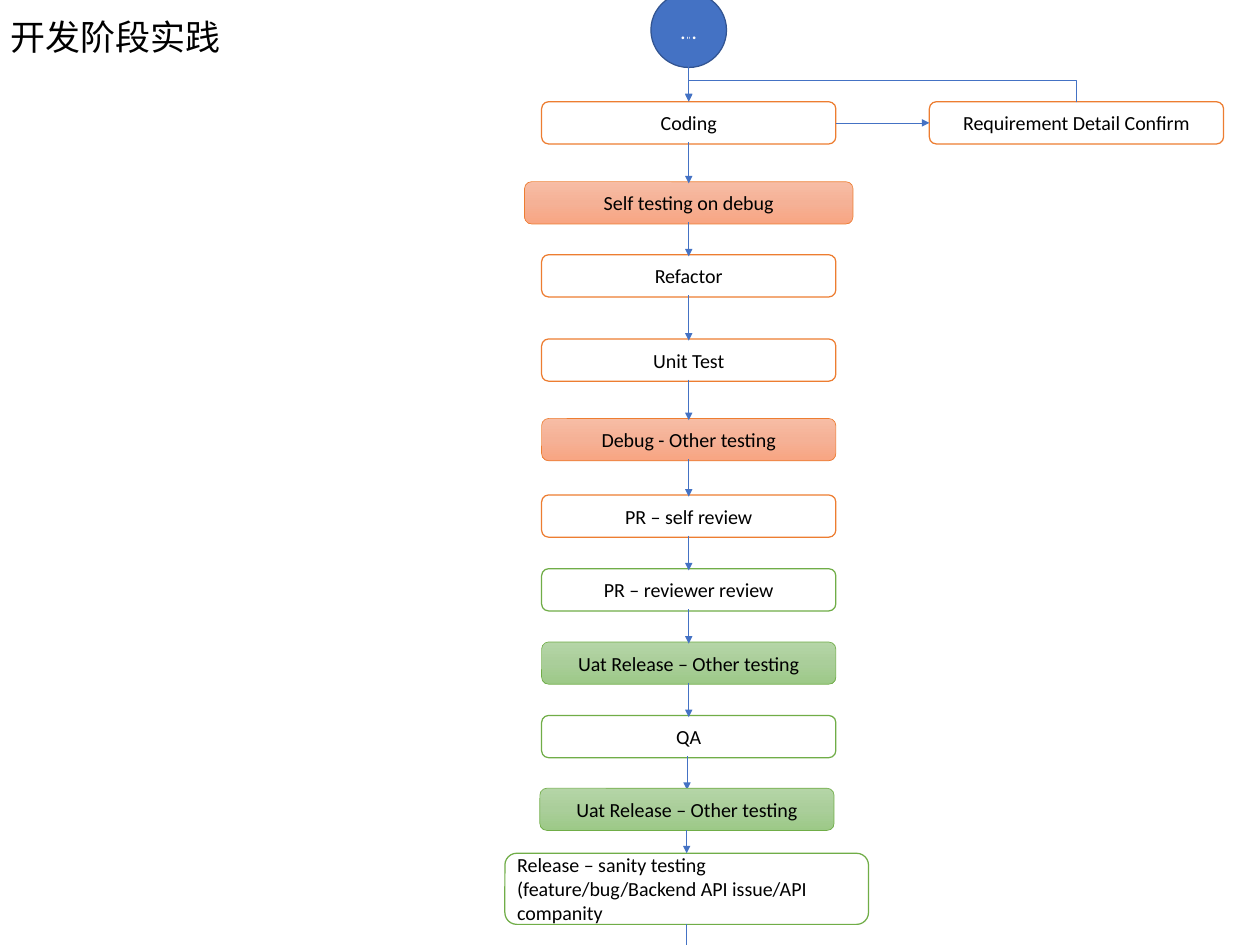
"""Development-stage practice flowchart."""
from copy import deepcopy
from lxml.etree import SubElement
from pptx import Presentation
from pptx.dml.color import RGBColor
from pptx.enum.shapes import MSO_CONNECTOR, MSO_SHAPE
from pptx.enum.text import MSO_ANCHOR, PP_ALIGN
from pptx.oxml.ns import qn
from pptx.util import Pt

BLACK = RGBColor(0, 0, 0)
WHITE = RGBColor(255, 255, 255)
BLUE = RGBColor(0x44, 0x72, 0xC4)
NAVY = RGBColor(0x32, 0x54, 0x91)
ORANGE = RGBColor(0xED, 0x7D, 0x31)
GREEN = RGBColor(0x70, 0xAD, 0x47)
PEACH = [RGBColor.from_string(c) for c in ("F7BDA5", "F5B196", "F8A582")]
SAGE = [RGBColor.from_string(c) for c in ("B5D5A7", "AACE9A", "9CC987")]

TITLE = "开发阶段实践"
AXIS, BOX_W, BOX_H = 551, 235.4, 33.8
SIDE_X, CODING_Y, OVERLAP = 861.2, 81.4, 1.3
STEPS = [
    ("Coding", CODING_Y, ORANGE, None),
    ("Self testing on debug", 145.4, ORANGE, PEACH),
    ("Refactor", 203.8, ORANGE, None),
    ("Unit Test", 271.2, ORANGE, None),
    ("Debug - Other testing", 334.8, ORANGE, PEACH),
    ("PR – self review", 396, ORANGE, None),
    ("PR – reviewer review", 455, GREEN, None),
    ("Uat Release – Other testing", 513.6, GREEN, SAGE),
    ("QA", 572.4, GREEN, None),
    ("Uat Release – Other testing", 630.6, GREEN, SAGE),
    ("Release – sanity testing (feature/bug/Backend API issue/API companity",
     682.6, GREEN, None),
]
SIZES = {1: (AXIS, 262.8, BOX_H), 9: (549.6, BOX_W, BOX_H), 10: (549.4, 290.9, 56.9)}

prs = Presentation()
prs.slide_width, prs.slide_height = Pt(1008), Pt(756)
s = prs.slides.add_slide(prs.slide_layouts[6])


def write(sp, text, size, color, align):
    tf = sp.text_frame
    tf.word_wrap = True
    tf.vertical_anchor = MSO_ANCHOR.MIDDLE
    p = tf.paragraphs[0]
    p.text, p.alignment = text, align
    font = p.runs[0].font
    font.size, font.name, font.color.rgb = Pt(size), "Calibri", color
    return p


def fill_gradient(sp, colors):
    sp.fill.gradient()
    sp.fill.gradient_angle = 270
    stops = sp._element.spPr.find(qn("a:gradFill")).find(qn("a:gsLst"))
    stops.insert(1, deepcopy(stops[0]))
    for stop, color, place in zip(sp.fill.gradient_stops, colors, (0, 0.5, 1)):
        stop.color.rgb, stop.position = color, place


def add_node(kind, box, text, line, fill=WHITE, size=16, color=BLACK, align=PP_ALIGN.CENTER):
    cx, top, w, h = box
    sp = s.shapes.add_shape(kind, Pt(cx - w / 2), Pt(top), Pt(w), Pt(h))
    sp.shadow.inherit = False
    shaded = isinstance(fill, list)
    if shaded:
        fill_gradient(sp, fill)
    else:
        sp.fill.solid()
        sp.fill.fore_color.rgb = fill
    sp.line.color.rgb, sp.line.width = line, Pt(0.5 if shaded else 1)
    write(sp, text, size, color, align)


def add_arrow(x1, y1, x2, y2, kind=MSO_CONNECTOR.STRAIGHT):
    cxn = s.shapes.add_connector(kind, Pt(x1), Pt(y1), Pt(x2), Pt(y2))
    cxn.line.color.rgb, cxn.line.width = BLUE, Pt(0.5)
    SubElement(cxn.line._get_or_add_ln(), qn("a:tailEnd"), type="triangle")
    SubElement(cxn._element.spPr, qn("a:effectLst"))
    return cxn


def add_step(i):
    text, top, line, fill = STEPS[i]
    cx, w, h = SIZES.get(i, (AXIS, BOX_W, BOX_H))
    align = PP_ALIGN.LEFT if i == len(STEPS) - 1 else PP_ALIGN.CENTER
    add_node(MSO_SHAPE.ROUNDED_RECTANGLE, (cx, top, w, h), text, line, fill or WHITE, align=align)


title = s.shapes.add_textbox(Pt(1.4), Pt(4.3), Pt(443.5), Pt(53.3))
write(title, TITLE, 28, BLACK, PP_ALIGN.LEFT).line_spacing = 0.9

LAST = len(STEPS) - 1
FRONT = LAST - 1
for i in range(len(STEPS)):
    if i != FRONT:
        add_step(i)
add_node(MSO_SHAPE.ROUNDED_RECTANGLE, (SIDE_X, CODING_Y, BOX_W, BOX_H),
         "Requirement Detail Confirm", ORANGE)

for i in range(FRONT):
    x = SIZES.get(i + 1, (AXIS,))[0]
    add_arrow(x, STEPS[i][1] + BOX_H - OVERLAP, x, STEPS[i + 1][1] + OVERLAP)
add_step(FRONT)

x, _, last_h = SIZES[LAST]
add_arrow(x, STEPS[FRONT][1] + BOX_H, x, STEPS[LAST][1])
add_arrow(x, STEPS[LAST][1] + last_h, x, 767.5)

add_node(MSO_SHAPE.OVAL, (AXIS, -5.8, 60.5, 59.8), "…", NAVY, BLUE, 18, WHITE)
add_arrow(AXIS, 16.6, AXIS, CODING_Y)
mid_y = CODING_Y + BOX_H / 2
add_arrow(AXIS + BOX_W / 2, mid_y, SIDE_X - BOX_W / 2, mid_y)

mid_x, half = (AXIS + SIDE_X) / 2, (SIDE_X - AXIS) / 2
loop = add_arrow(mid_x - 0.5, CODING_Y + half, mid_x + 0.5, CODING_Y - half, MSO_CONNECTOR.ELBOW)
loop._element.spPr.find(qn("a:xfrm")).set("rot", "16200000")
guides = loop._element.spPr.find(qn("a:prstGeom")).find(qn("a:avLst"))
SubElement(guides, qn("a:gd"), name="adj1", fmla="val 1800000")

prs.save("out.pptx")
